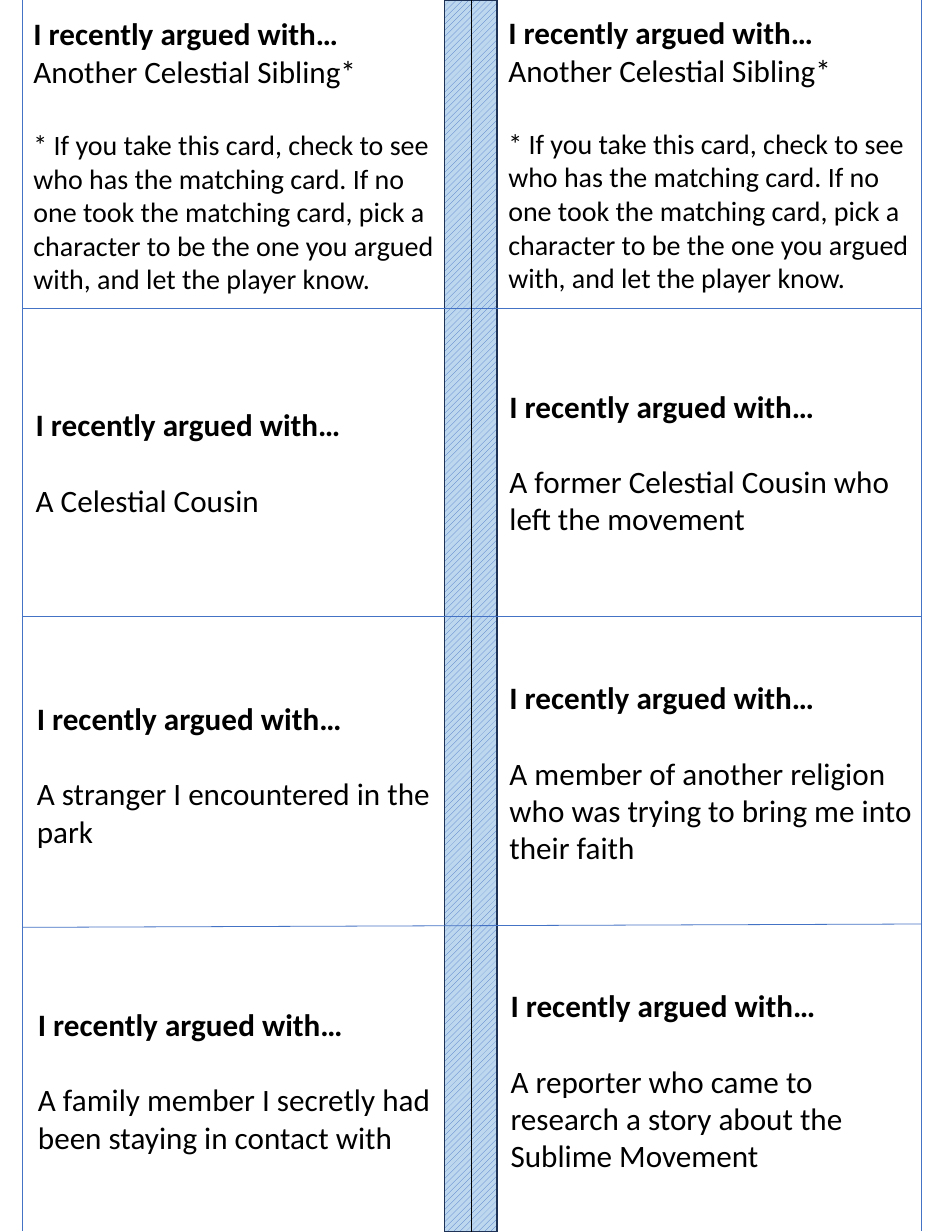
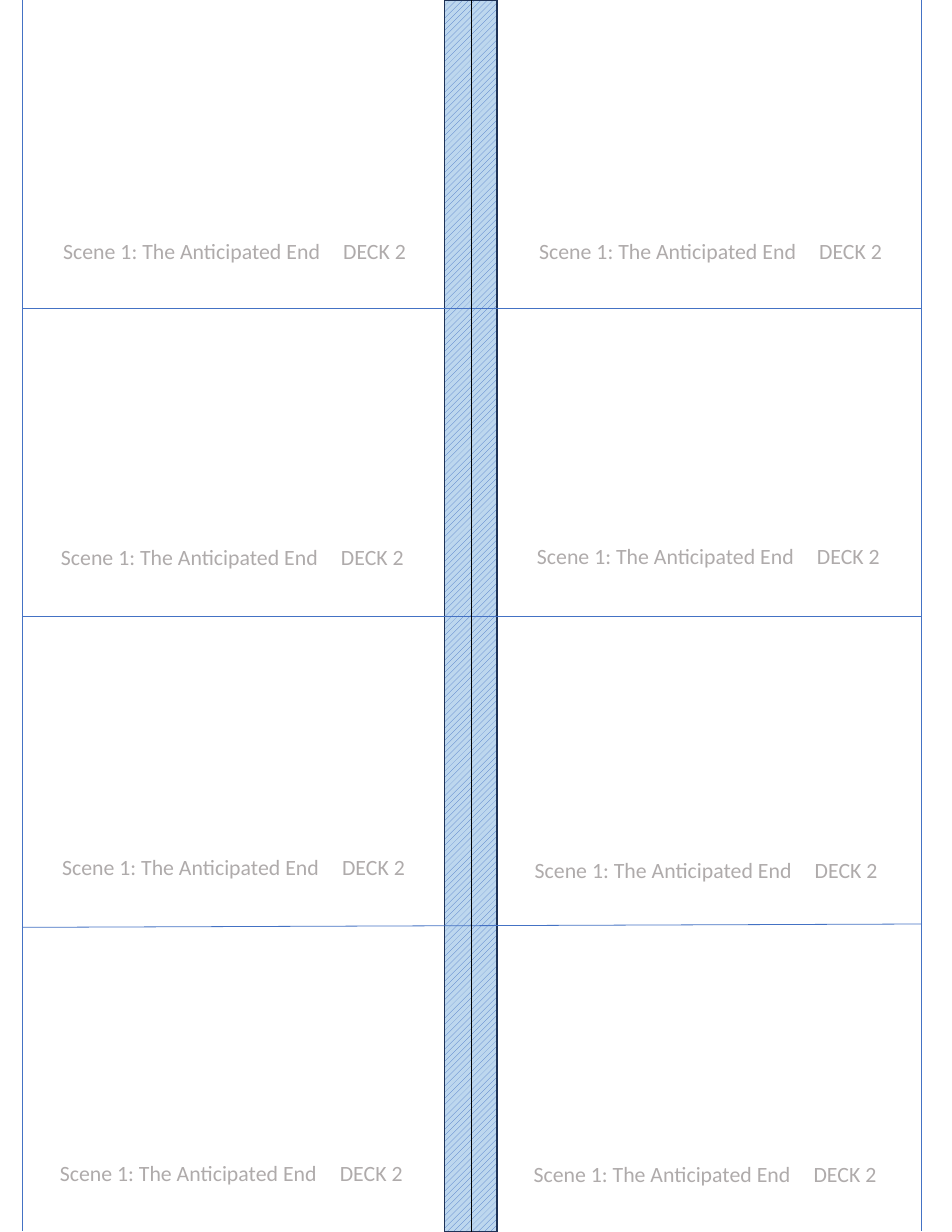
from dataclasses import dataclass

from lxml.etree import SubElement
from pptx import Presentation
from pptx.dml.color import RGBColor
from pptx.enum.dml import MSO_PATTERN
from pptx.enum.shapes import MSO_CONNECTOR, MSO_SHAPE
from pptx.enum.text import MSO_ANCHOR, PP_ALIGN
from pptx.oxml.ns import qn
from pptx.util import Inches, Pt


# Colours and type sizes
@dataclass(frozen=True)
class Theme:
    font: str = "Calibri"
    rule: RGBColor = RGBColor(0x44, 0x72, 0xC4)
    band: RGBColor = RGBColor(0xBD, 0xD7, 0xEE)
    band_edge: RGBColor = RGBColor(0x1E, 0x32, 0x56)
    ink: RGBColor = RGBColor(0, 0, 0)
    muted: RGBColor = RGBColor(0xAF, 0xAB, 0xAB)
    card: int = 20
    note: int = 18
    label: int = 14


# Page geometry in inches
PAGE_W, PAGE_H = 8.5, 11
LEFT, RIGHT, BOTTOM = 0.2, 8.23, 10.99
BAND_X, BAND_W = 3.97, 0.47
ROW_RULES = [(2.75, 2.75), (5.5, 5.5), (8.28, 8.25)]  # height at left and right
FRONT_W, FRONT_H = (3.88, 3.79), 2.69
BACK_W, BACK_H = 3.67, 2.65
BLANK_LINE = 24.4  # one line of card text, in points
LABEL_INSET = 0.36

# Card contents: (left, top) and text, by column
HEADING = "I recently argued with…"
SIBLING = "Another Celestial Sibling*"
SIBLING_NOTE = (
    "* If you take this card, check to see who has the matching card. "
    "If no one took the matching card, pick a character to be the one "
    "you argued with, and let the player know."
)
LABEL = "Scene 1: The Anticipated End\tDECK 2"
FRONTS = [
    [
        (0.2, 0.04, SIBLING),
        (0.22, 2.78, "A Celestial Cousin"),
        (0.23, 5.57, "A stranger I encountered in the park"),
        (0.24, 8.3, "A family member I secretly had been staying in contact with"),
    ],
    [
        (4.44, 0.03, SIBLING),
        (4.45, 2.78, "A former Celestial Cousin who left the movement"),
        (4.45, 5.55, "A member of another religion who was trying to bring me into their faith"),
        (4.46, 8.3, "A reporter who came to research a story about the Sublime Movement"),
    ],
]
BACKS = [
    (0.26, 0.07), (0.24, 2.8), (0.25, 5.57), (0.23, 8.3),
    (4.51, 0.07), (4.49, 2.79), (4.47, 5.59), (4.46, 8.31),
]


def add_text(tf, text, *, font, size, color, bold=False, align=PP_ALIGN.LEFT, before=0):
    """Add one paragraph, filling the empty first one if it is free."""
    p = tf.paragraphs[0]
    if p.runs:
        p = tf.add_paragraph()
    p.alignment = align
    p.space_before = Pt(before)
    r = p.add_run()
    r.text = text
    r.font.name, r.font.size, r.font.bold = font, Pt(size), bold
    r.font.color.rgb = color


class CardSheet:
    """Holds the theme and the slide being drawn."""

    def __init__(self, prs, theme):
        self.prs, self.theme, self.s = prs, theme, None

    def new_slide(self):
        self.s = self.prs.slides.add_slide(self.prs.slide_layouts[6])
        self.cut_guides()

    def band(self, x, y, w, h):
        sp = self.s.shapes.add_shape(
            MSO_SHAPE.RECTANGLE, Inches(x), Inches(y), Inches(w), Inches(h))
        sp.shadow.inherit = False
        sp.fill.patterned()
        sp.fill.pattern = MSO_PATTERN.WIDE_UPWARD_DIAGONAL
        sp.fill.fore_color.rgb = self.theme.rule
        sp.fill.back_color.rgb = self.theme.band
        sp.line.color.rgb = self.theme.band_edge
        sp.line.width = Pt(1)
        return sp

    def line(self, x1, y1, x2, y2, color):
        cn = self.s.shapes.add_connector(
            MSO_CONNECTOR.STRAIGHT, Inches(x1), Inches(y1), Inches(x2), Inches(y2))
        cn.line.color.rgb = color
        cn.line.width = Pt(0.5)
        SubElement(cn._element.spPr, qn("a:effectLst"))
        return cn

    def text_box(self, x, y, w, h, anchor):
        tf = self.s.shapes.add_textbox(
            Inches(x), Inches(y), Inches(w), Inches(h)).text_frame
        tf.word_wrap = True
        tf.vertical_anchor = anchor
        return tf

    def cut_guides(self):
        t = self.theme
        band = self.band(BAND_X, 0, BAND_W, PAGE_H)
        for y_left, y_right in ROW_RULES:
            self.line(LEFT, y_left, RIGHT, y_right, t.rule)
        for x in (LEFT, RIGHT):
            self.line(x, 0, x, BOTTOM, t.rule)
        middle = BAND_X + BAND_W / 2
        fold = self.line(middle, 0, middle, PAGE_H, t.ink)
        fold.begin_connect(band, 0)
        fold.end_connect(band, 2)

    def card_front(self, x, y, w, answer):
        t = self.theme
        style = dict(font=t.font, color=t.ink)
        tf = self.text_box(x, y, w, FRONT_H, MSO_ANCHOR.MIDDLE)
        add_text(tf, HEADING, size=t.card, bold=True, **style)
        has_note = answer == SIBLING
        add_text(tf, answer, size=t.card, before=0 if has_note else BLANK_LINE, **style)
        if has_note:
            add_text(tf, SIBLING_NOTE, size=t.note, before=BLANK_LINE, **style)

    def card_back(self, x, y):
        t = self.theme
        tf = self.text_box(x, y, BACK_W, BACK_H, MSO_ANCHOR.BOTTOM)
        tf.margin_bottom = Inches(LABEL_INSET)
        add_text(tf, LABEL, font=t.font, size=t.label, color=t.muted,
                 align=PP_ALIGN.CENTER)


def main():
    prs = Presentation()
    prs.slide_width, prs.slide_height = Inches(PAGE_W), Inches(PAGE_H)
    sheet = CardSheet(prs, Theme())

    # Card fronts
    sheet.new_slide()
    for width, column in zip(FRONT_W, FRONTS):
        for x, y, answer in column:
            sheet.card_front(x, y, width, answer)

    # Card backs
    sheet.new_slide()
    for x, y in BACKS:
        sheet.card_back(x, y)

    prs.save("out.pptx")


if __name__ == "__main__":
    main()
